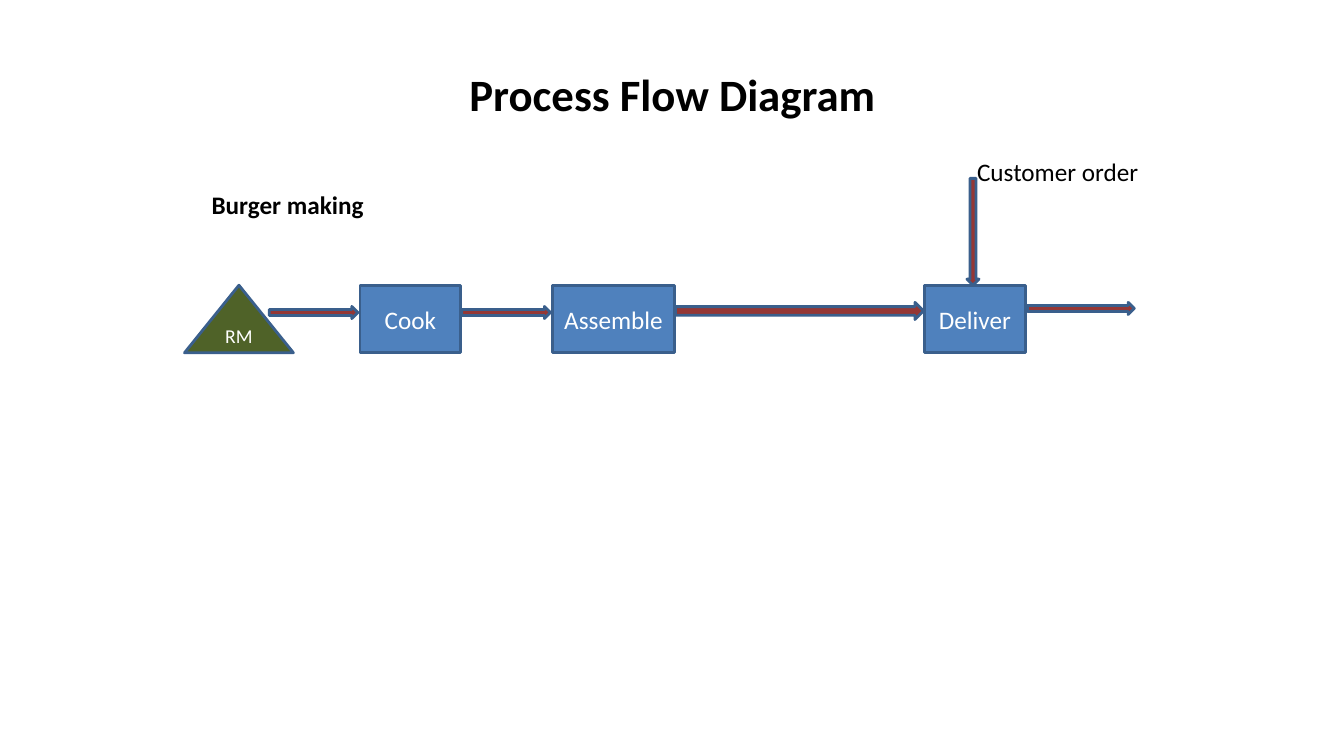
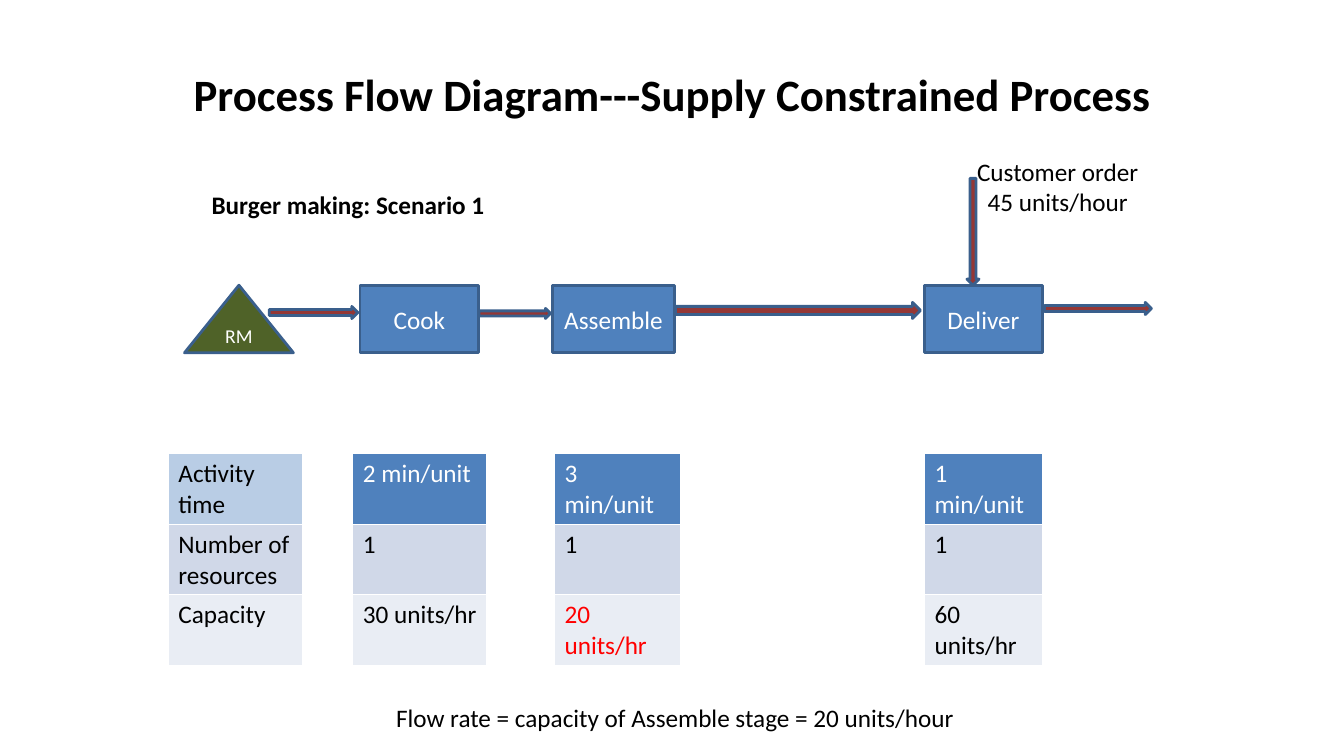
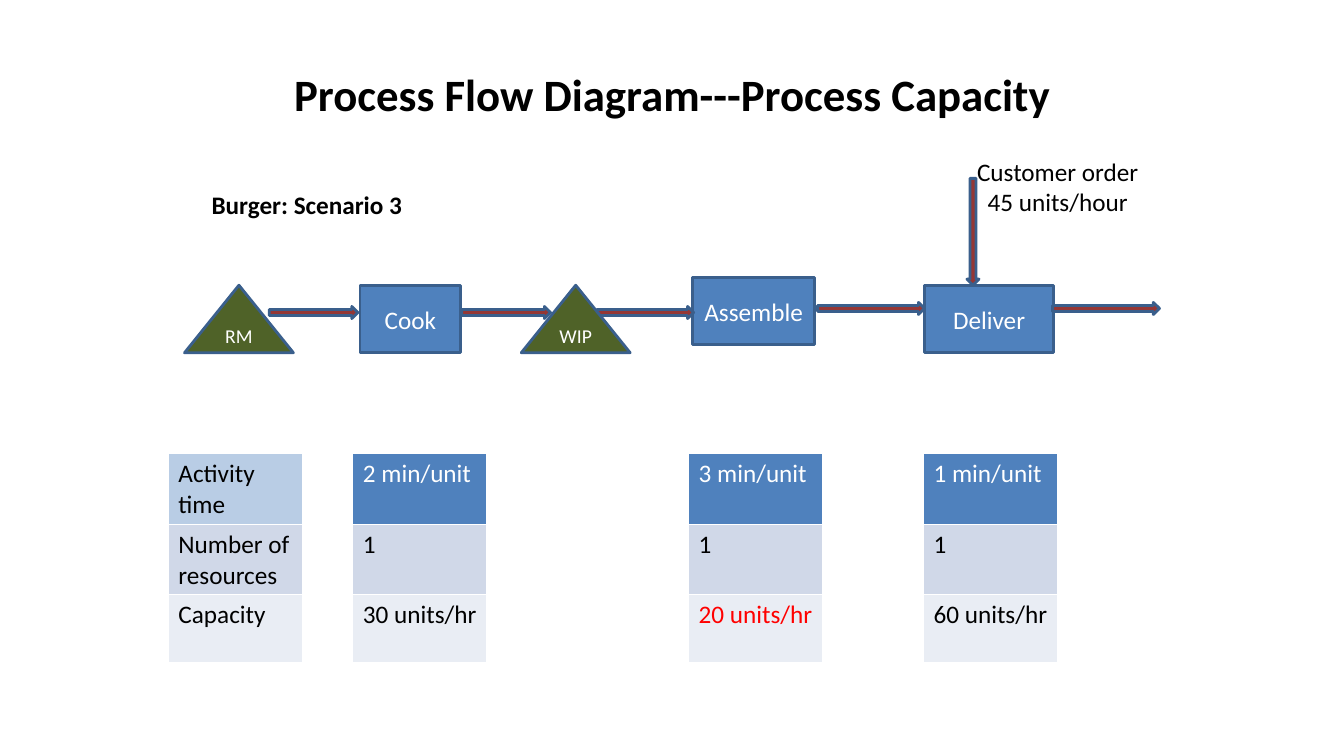
"""Build three process flow slides for a burger kitchen."""
from dataclasses import dataclass

from pptx import Presentation
from pptx import util as u
from pptx.dml.color import RGBColor
from pptx.enum import shapes, text

COLORS = {
    "text": "000000",
    "white": "FFFFFF",
    "stage": "4F81BD",
    "outline": "3A5F8C",
    "stock": "4F6228",
    "arrow": "953735",
    "label": "B9CDE5",
    "band": "D0D8E8",
    "light": "E9EDF4",
    "bottleneck": "FF0000",
}
FONT = "Calibri"
FLOW_TOP = 2.83
NODE_HEIGHT = 0.67
STOCK_WIDTH = 1.08
ROW_HEIGHT = 0.67
TABLE_LEFT, TABLE_TOP = 1.67, 4.5
CAPACITY_ROWS = (
    ("Activity time", "2 min/unit", "3 min/unit", "1 min/unit"),
    ("Number of resources", "1", "1", "1"),
    ("Capacity", "30 units/hr", "20 units/hr", "60 units/hr"),
)
ROW_FILLS = ("stage", "band", "light")
BOTTLENECK = "20 units/hr"


@dataclass(frozen=True)
class Stage:
    """A process step drawn as a rectangle."""

    label: str
    left: float
    width: float
    top: float = FLOW_TOP


@dataclass(frozen=True)
class Stock:
    """An inventory point drawn as a triangle."""

    label: str
    left: float


@dataclass(frozen=True)
class Arrow:
    """A block arrow between two points of the flow."""

    left: float
    width: float
    top: float = 3.04
    height: float = 0.12
    rotation: float = 0


@dataclass(frozen=True)
class FlowSlide:
    """Everything that differs from one slide to the next."""

    title: str
    heading: str
    heading_width: float
    order: str
    stages: tuple[Stage, ...]
    arrows: tuple[Arrow, ...]
    buffers: tuple[Stock, ...] = ()
    column_widths: tuple[float, ...] = ()
    conclusion: str = ""


RAW_MATERIAL = Stock("RM", 1.83)
RAW_MATERIAL_ARROW = Arrow(2.67, 0.88)
ORDER_ARROW = Arrow(9.12, 1.06, 2.24, rotation=90)
ORDER_RATE = "Customer order\n45 units/hour"

SLIDES = (
    FlowSlide(
        "Process Flow Diagram", "Burger making", 1.72, "Customer order",
        (Stage("Assemble", 5.48, 1.21), Stage("Cook", 3.57, 1), Stage("Deliver", 9.17, 1)),
        (Arrow(4.58, 0.88), Arrow(6.7, 2.46, 3, 0.17), Arrow(10.19, 1.06, 3)),
    ),
    FlowSlide(
        "Process Flow Diagram---Supply Constrained Process",
        "Burger making: Scenario 1", 2.93, ORDER_RATE,
        (Stage("Assemble", 5.48, 1.21), Stage("Cook", 3.57, 1.18), Stage("Deliver", 9.17, 1.17)),
        (Arrow(4.75, 0.71, 3.06, 0.1), Arrow(6.7, 2.43, 3, 0.16), Arrow(10.36, 1.06, 3)),
        column_widths=(1.33, 0.5, 1.33, 0.67, 1.25, 2.42, 1.17),
        conclusion="Flow rate = capacity of Assemble stage = 20 units/hour",
    ),
    FlowSlide(
        "Process Flow Diagram---Process Capacity", "Burger: Scenario 3", 2.11, ORDER_RATE,
        (Stage("Assemble", 6.87, 1.21, 2.75), Stage("Cook", 3.57, 1), Stage("Deliver", 9.17, 1.28)),
        (Arrow(4.58, 0.88), Arrow(5.92, 0.96), Arrow(8.11, 1.06, 3), Arrow(10.44, 1.06, 3)),
        buffers=(Stock("WIP", 5.17),),
        column_widths=(1.33, 0.5, 1.33, 2, 1.33, 1, 1.33),
    ),
)


def rgb(name: str) -> RGBColor:
    """Return the named palette colour."""
    return RGBColor.from_string(COLORS[name])


def format_text(frame, size: float, color: str = "text", bold: bool = False, align=None) -> None:
    """Style every paragraph and run of a text frame."""
    for paragraph in frame.paragraphs:
        paragraph.alignment = align
        for run in paragraph.runs:
            run.font.name = FONT
            run.font.size = u.Pt(size)
            run.font.bold = bold
            run.font.color.rgb = rgb(color)


def add_title(slide, title: str) -> None:
    """Add the centred slide title."""
    box = slide.shapes.add_textbox(u.Inches(0.67), u.Inches(0.3), u.Inches(12), u.Inches(1.25))
    frame = box.text_frame
    frame.word_wrap = True
    frame.vertical_anchor = text.MSO_ANCHOR.MIDDLE
    frame.text = title
    format_text(frame, 32, bold=True, align=text.PP_ALIGN.CENTER)


def add_note(slide, words: str, left: float, top: float, width: float,
             bold: bool = False, align=text.PP_ALIGN.LEFT) -> None:
    """Add an unwrapped text label that fits its text."""
    height = 0.4 + 0.31 * words.count("\n")
    box = slide.shapes.add_textbox(u.Inches(left), u.Inches(top), u.Inches(width), u.Inches(height))
    frame = box.text_frame
    frame.word_wrap = False
    frame.auto_size = text.MSO_AUTO_SIZE.SHAPE_TO_FIT_TEXT
    frame.text = words
    format_text(frame, 18, bold=bold, align=align)


def add_outlined(slide, kind, left: float, top: float, width: float, height: float, fill: str):
    """Add a filled preset shape with the common outline."""
    shape = slide.shapes.add_shape(
        kind, u.Inches(left), u.Inches(top), u.Inches(width), u.Inches(height))
    shape.shadow.inherit = False
    shape.fill.solid()
    shape.fill.fore_color.rgb = rgb(fill)
    shape.line.color.rgb = rgb("outline")
    shape.line.width = u.Pt(2)
    return shape


def add_label(shape, label: str, size: float) -> None:
    """Write a centred white label in a shape."""
    frame = shape.text_frame
    frame.margin_left = frame.margin_right = 0
    frame.vertical_anchor = text.MSO_ANCHOR.MIDDLE
    frame.text = label
    format_text(frame, size, "white", align=text.PP_ALIGN.CENTER)


def add_stage(slide, stage: Stage) -> None:
    """Draw a process step."""
    shape = add_outlined(slide, shapes.MSO_SHAPE.RECTANGLE, stage.left, stage.top,
                         stage.width, NODE_HEIGHT, "stage")
    add_label(shape, stage.label, 18)


def add_stock(slide, stock: Stock) -> None:
    """Draw an inventory triangle."""
    shape = add_outlined(slide, shapes.MSO_SHAPE.ISOSCELES_TRIANGLE, stock.left, FLOW_TOP,
                         STOCK_WIDTH, NODE_HEIGHT, "stock")
    add_label(shape, stock.label, 14)


def add_arrow(slide, arrow: Arrow) -> None:
    """Draw a block arrow."""
    shape = add_outlined(slide, shapes.MSO_SHAPE.RIGHT_ARROW, arrow.left, arrow.top,
                         arrow.width, arrow.height, "arrow")
    shape.rotation = arrow.rotation


def cell_colors(row: int, column: int, words: str) -> tuple[str, str]:
    """Return the fill and text colours of a table cell."""
    if column % 2:
        return "white", "text"
    if row == 0:
        return ("stage", "white") if column else ("label", "text")
    return ROW_FILLS[row], "bottleneck" if words == BOTTLENECK else "text"


def add_capacity_table(slide, widths: tuple[float, ...]) -> None:
    """Add the capacity table, with blank columns between the stages."""
    table = slide.shapes.add_table(
        len(CAPACITY_ROWS), len(widths), u.Inches(TABLE_LEFT), u.Inches(TABLE_TOP),
        u.Inches(sum(widths)), u.Inches(ROW_HEIGHT * len(CAPACITY_ROWS))).table
    for column, width in zip(table.columns, widths):
        column.width = u.Inches(width)
    for row, entries in enumerate(CAPACITY_ROWS):
        table.rows[row].height = u.Inches(ROW_HEIGHT)
        for column in range(len(widths)):
            words = "" if column % 2 else entries[column // 2]
            fill, color = cell_colors(row, column, words)
            cell = table.cell(row, column)
            cell.fill.solid()
            cell.fill.fore_color.rgb = rgb(fill)
            if words:
                cell.text_frame.text = words
                format_text(cell.text_frame, 18, color)


def add_flow_slide(presentation, flow: FlowSlide) -> None:
    """Build one slide from its description."""
    slide = presentation.slides.add_slide(presentation.slide_layouts[6])
    add_title(slide, flow.title)
    for stage in flow.stages:
        add_stage(slide, stage)
    add_stock(slide, RAW_MATERIAL)
    for arrow in (RAW_MATERIAL_ARROW, *flow.arrows, ORDER_ARROW):
        add_arrow(slide, arrow)
    add_note(slide, flow.order, 9.58, 1.5, 1.82, align=text.PP_ALIGN.CENTER)
    add_note(slide, flow.heading, 2, 1.83, flow.heading_width, bold=True)
    if flow.column_widths:
        add_capacity_table(slide, flow.column_widths)
    if flow.conclusion:
        add_note(slide, flow.conclusion, 3.83, 6.92, 5.8)
    for buffer in flow.buffers:
        add_stock(slide, buffer)


def main() -> None:
    """Create and save the presentation."""
    presentation = Presentation()
    presentation.slide_width = u.Inches(13.33)
    presentation.slide_height = u.Inches(7.5)
    for flow in SLIDES:
        add_flow_slide(presentation, flow)
    presentation.save("out.pptx")


if __name__ == "__main__":
    main()
